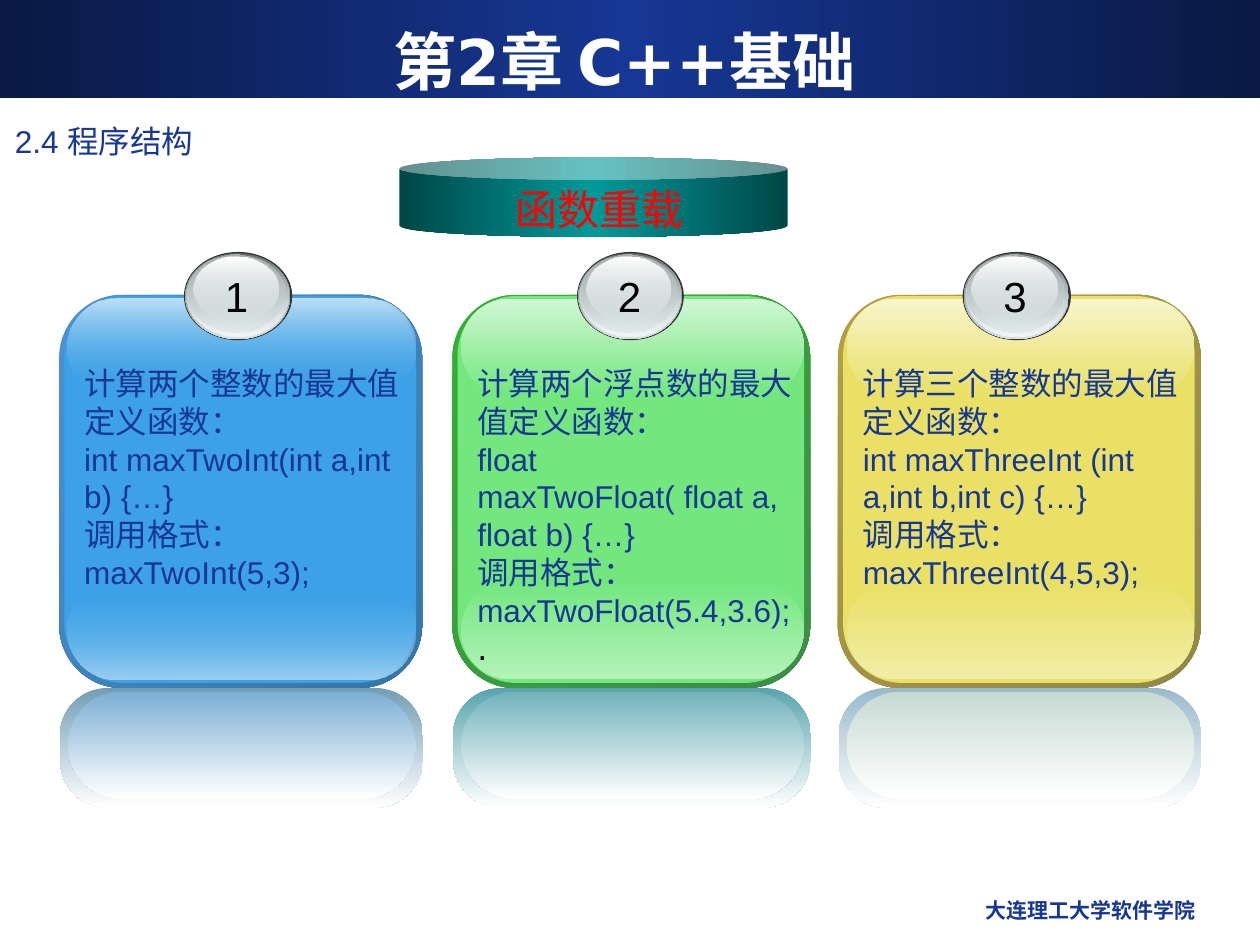
from typing import NamedTuple

import pptx
import pptx.dml.color
import pptx.enum.shapes
import pptx.enum.text
import pptx.oxml
import pptx.oxml.ns
import pptx.util

Pt = pptx.util.Pt
RGB = pptx.dml.color.RGBColor
Kind = pptx.enum.shapes.MSO_SHAPE
Align = pptx.enum.text.PP_ALIGN
Fit = pptx.enum.text.MSO_AUTO_SIZE
Anchor = pptx.enum.text.MSO_ANCHOR

NAVY = RGB(0x16, 0x37, 0x94)
NIGHT = RGB(0x0A, 0x19, 0x44)
WHITE = RGB(0xFF, 0xFF, 0xFF)
BLACK = RGB(0, 0, 0)
RED = RGB(0xFF, 0, 0)
TEAL = RGB(0, 0x99, 0x99)
PINE = RGB(0, 0x47, 0x47)
COAL = RGB(0x33, 0x33, 0x33)
SLATE = RGB(0x63, 0x68, 0x69)
STEEL = RGB(0xAA, 0xB2, 0xB3)
MIST = RGB(0xD6, 0xE1, 0xE2)
PEARL = RGB(0xF1, 0xF5, 0xF5)
SKY = RGB(0x3C, 0xA1, 0xE6)
MINT = RGB(0x73, 0xE7, 0x7E)
SAND = RGB(0xE9, 0xE0, 0x65)

HEAD = {"name": "DejaVu Sans", "size": Pt(36), "bold": True}
FOOT = {"name": "DejaVu Sans", "size": Pt(12), "bold": True}
BODY = {"name": "Arial", "size": Pt(18)}
LARGE = {"name": "Arial", "size": Pt(24)}
DOT = {"name": "DejaVu Sans", "size": Pt(18)}


class Box(NamedTuple):
    x: float
    y: float
    w: float
    h: float


class Stop(NamedTuple):
    tint: RGB
    pos: int = 100
    alpha: int = 100


class Ring(NamedTuple):
    box: Box  # offset from the ball's corner, and size
    stops: tuple


class Card(NamedTuple):
    x: float
    w: float
    face: RGB
    rim: tuple
    low: RGB  # end of the bottom gloss
    high: RGB  # start of the top gloss
    echo: tuple  # reflection, outer and inner
    clear: int  # opacity where the gloss meets the face
    lines: tuple
    tail: str = ""


RINGS = (
    Ring(Box(0, 0, 61.92, 50.4), (Stop(COAL),)),
    Ring(Box(0.72, 0.72, 60, 49), (Stop(SLATE, 0), Stop(MIST))),
    Ring(Box(1.44, 0.72, 58.3, 47.5), (Stop(MIST, 0, 0), Stop(PEARL))),
    Ring(Box(2.16, 1.44, 55.4, 44.6), (Stop(STEEL, 0), Stop(MIST, 100, 48))),
    Ring(Box(5.2, 2.88, 49, 36), (Stop(WHITE, 0), Stop(MIST, 100, 38))),
)

CARDS = (
    Card(33.84, 207.36, SKY, (RGB(0x4E, 0x91, 0xD4), RGB(0x34, 0x77, 0xA4)),
         RGB(0x9B, 0xCF, 0xF2), RGB(0xBE, 0xE0, 0xF7),
         (RGB(0x72, 0x9E, 0xB4), RGB(0x7D, 0xAF, 0xD4)), 0,
         ("计算两个整数的最大值定义函数：", "int maxTwoInt(int a,int b) {…}",
          "调用格式： maxTwoInt(5,3);")),
    Card(258.48, 204.48, MINT, (RGB(0x34, 0xB0, 0x34), RGB(0x3F, 0x8B, 0x4A)),
         RGB(0xB3, 0xF2, 0xB9), RGB(0xD0, 0xF7, 0xD4),
         (RGB(0x58, 0xA4, 0xAE), RGB(0x72, 0xB2, 0xBB)), 100,
         ("计算两个浮点数的最大值定义函数：",
          "float maxTwoFloat( float a, float b) {…}",
          "调用格式： maxTwoFloat(5.4,3.6);"), "."),
    Card(478.8, 207.36, SAND, (RGB(0xB5, 0x9F, 0x43), RGB(0x8F, 0x88, 0x49)),
         RGB(0xF2, 0xED, 0xA6), RGB(0xF8, 0xF5, 0xCC),
         (RGB(0x99, 0xBA, 0xCC), RGB(0xC8, 0xDA, 0xD4)), 100,
         ("计算三个整数的最大值定义函数：",
          "int maxThreeInt (int a,int b,int c) {…}",
          "调用格式： maxThreeInt(4,5,3);")),
)


def blend(shape, stops: tuple, angle: int) -> None:
    """Fill a shape with a linear gradient whose stops may be see-through."""
    marks = "".join(
        f'<a:gs pos="{s.pos * 1000}"><a:srgbClr val="{s.tint}">'
        f'<a:alpha val="{s.alpha * 1000}"/></a:srgbClr></a:gs>' for s in stops)
    grad = pptx.oxml.parse_xml(
        f'<a:gradFill {pptx.oxml.ns.nsdecls("a")} rotWithShape="1">'
        f'<a:gsLst>{marks}</a:gsLst>'
        f'<a:lin ang="{angle * 60000}" scaled="0"/></a:gradFill>')
    shape.fill.background()
    props = shape._element.spPr
    props.replace(props.find(pptx.oxml.ns.qn("a:noFill")), grad)


def draw(slide, kind, box: Box, stops: tuple, angle: int = 90, adj=None):
    shape = slide.shapes.add_shape(kind, *map(Pt, box))
    shape.shadow.inherit = False
    shape.line.fill.background()
    if adj is not None:
        shape.adjustments[0] = adj
    if len(stops) == 1:
        shape.fill.solid()
        shape.fill.fore_color.rgb = stops[0].tint
    else:
        blend(shape, stops, angle)
    return shape


def style(font, form: dict, tint: RGB) -> None:
    for key, val in form.items():
        setattr(font, key, val)
    font.color.rgb = tint


def write(slide, box: Box, lines: tuple, form: dict, tint: RGB,
          align=Align.LEFT, wrap: bool = True, pitch=None):
    frame = slide.shapes.add_textbox(*map(Pt, box)).text_frame
    frame.word_wrap = wrap
    frame.auto_size = Fit.NONE if wrap else Fit.SHAPE_TO_FIT_TEXT
    for i, line in enumerate(lines):
        para = frame.add_paragraph() if i else frame.paragraphs[0]
        para.alignment = align
        para.line_spacing = pitch
        run = para.add_run()
        run.text = line
        style(run.font, form, tint)
    return frame


def panel(slide, card: Card, num: int) -> None:
    x, w = card.x, card.w
    edge = Box(x, 168.48, w, 224.64)
    face = Box(x + 3, 169.2, w - 6.48, 221.04)
    gx, gw = x + 5, w - 8.64
    fade = Stop(WHITE)

    # Rim, face and gloss
    rim = (Stop(card.rim[0], 0), Stop(card.rim[1]))
    draw(slide, Kind.ROUNDED_RECTANGLE, edge, rim, 45, 36 / w)
    draw(slide, Kind.ROUNDED_RECTANGLE, face, (Stop(card.face),),
         adj=33.5 / face.w)
    draw(slide, Kind.ROUNDED_RECTANGLE, Box(gx, 331.92, gw, 56.16),
         (Stop(card.face, 0, card.clear), Stop(card.low)), adj=0.5)
    draw(slide, Kind.ROUNDED_RECTANGLE, Box(gx, 170.64, gw, 55.44),
         (Stop(card.high, 0), Stop(card.face, 100, card.clear)), adj=0.5)

    # Reflection
    draw(slide, Kind.ROUNDED_RECTANGLE, Box(x + 0.4, 393.12, w, 68.4),
         (Stop(card.echo[0], 0), fade), adj=0.4)
    draw(slide, Kind.ROUNDED_RECTANGLE, Box(gx, 395.28, gw, 61.2),
         (Stop(card.echo[1], 0), fade), adj=0.5)

    # Numbered ball
    left, top, scale = x + 71.28, 144, w / CARDS[0].w
    for (dx, dy, rw, rh), stops in RINGS:
        draw(slide, Kind.OVAL,
             Box(left + dx * scale, top + dy, rw * scale, rh), stops)
    write(slide, Box(x + 87.5, 151.2, 27.36, 36), (str(num),), LARGE, BLACK,
          Align.CENTER, False)

    # Text
    frame = write(slide, Box(x + 7.2, 204.48, w - 10.08, 180), card.lines,
                  BODY, NAVY, pitch=Pt(21.6))
    if card.tail:
        run = frame.paragraphs[-1].add_run()
        run.text = card.tail
        style(run.font, DOT, BLACK)


def main() -> None:
    deck = pptx.Presentation()
    deck.slide_width, deck.slide_height = Pt(720), Pt(540)
    slide = deck.slides.add_slide(deck.slide_layouts[6])

    # Banner, footer and headings
    draw(slide, Kind.RECTANGLE, Box(0, 0, 720, 56.16),
         (Stop(NIGHT, 0), Stop(NAVY, 50), Stop(NIGHT)), 0)
    write(slide, Box(462.24, 509.04, 228.24, 25.2),
          ("大连理工大学软件学院",), FOOT, NAVY, Align.RIGHT)
    write(slide, Box(1.44, 66.24, 666, 23.76), ("2.4 程序结构",), BODY, NAVY)
    title = write(slide, Box(23.76, 12.24, 666, 44.64), ("第2章 C++基础",),
                  HEAD, WHITE, Align.CENTER)
    title.vertical_anchor = Anchor.MIDDLE

    # Cards
    for num, card in enumerate(CARDS, 1):
        panel(slide, card, num)

    # Topic drum
    draw(slide, Kind.CAN, Box(228.24, 90, 221.76, 45.36),
         (Stop(PINE, 0), Stop(TEAL, 50), Stop(PINE)), 0, 0.28)
    write(slide, Box(287.28, 101.52, 110.16, 36), ("函数重载",), LARGE, RED,
          wrap=False)

    deck.save("out.pptx")


if __name__ == "__main__":
    main()
